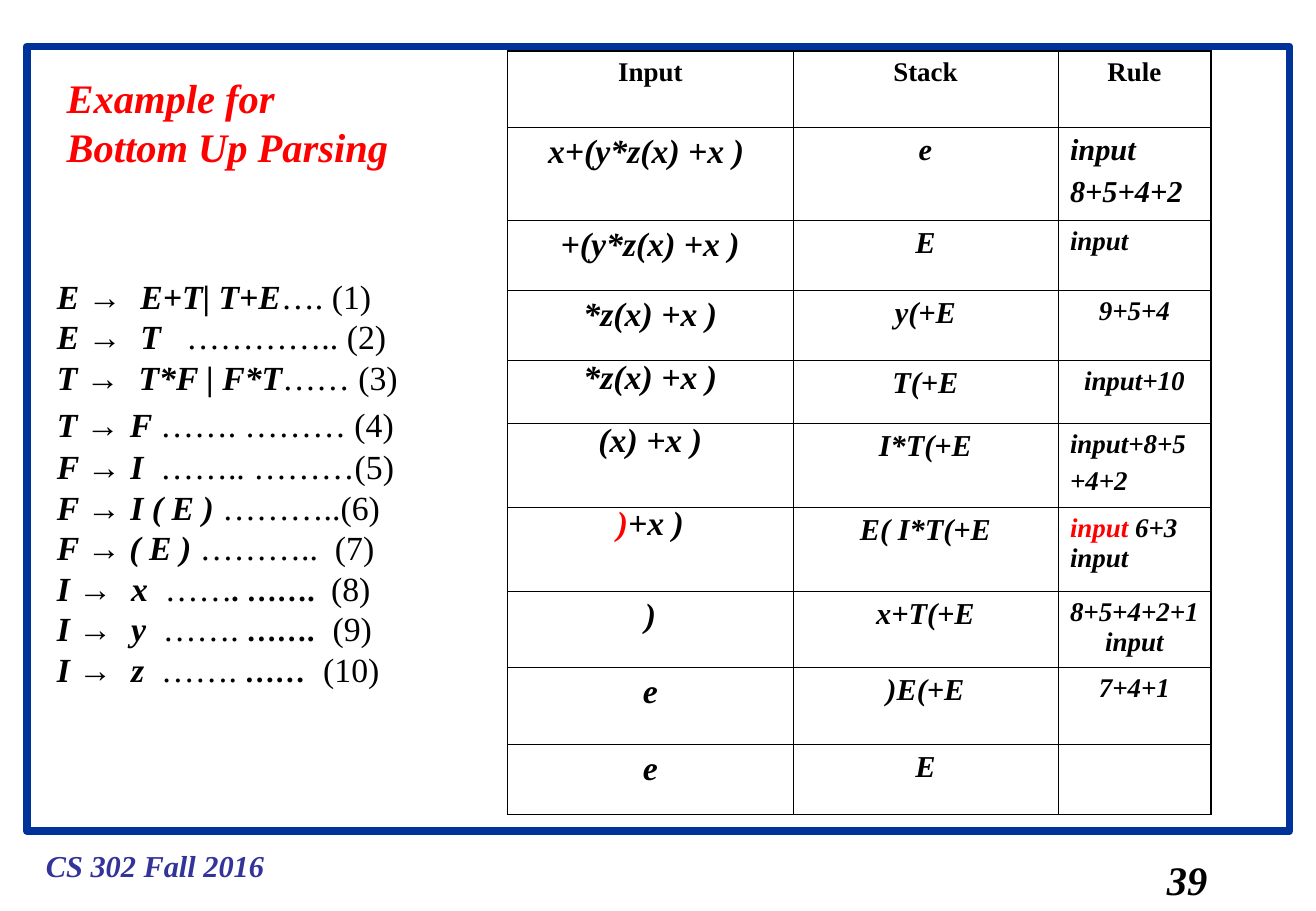
from dataclasses import dataclass

from pptx import Presentation, util as u
from pptx.dml.color import RGBColor
from pptx.enum import shapes, text
from pptx.oxml.ns import qn
from lxml import etree

LEFT, CENTER = text.PP_ALIGN.LEFT, text.PP_ALIGN.CENTER


@dataclass(frozen=True)
class Theme:
    serif: str = "Times New Roman"
    arrow: str = "Arial"
    ink: str = "000000"
    red: str = "FF0000"
    frame: str = "003399"
    footer: str = "333399"
    large: int = 24
    body: int = 20
    medium: int = 18
    small: int = 16
    outer: float = 1.08
    inner: float = 0.45
    frame_width: float = 4.5


THEME = Theme()


@dataclass(frozen=True)
class Step:
    remaining: str
    stack: str
    rule: str
    height: float
    matched: str = ""
    rule_matched: str = ""
    rule_align: text.PP_ALIGN = CENTER
    rule_size: int = THEME.small
    before: float = 5
    spacing: float = 1.0


STEPS = [
    Step("x+(y*z(x) +x ) ", "e", "input\n8+5+4+2", 1.93,
         rule_align=LEFT, rule_size=THEME.medium, before=4.5),
    Step("+(y*z(x) +x )", "E", "input", 1.47, rule_align=LEFT),
    Step("*z(x) +x )", "y(+E", "9+5+4", 1.47),
    Step("*z(x) +x )", "T(+E", "input+10", 1.32, spacing=0.75),
    Step("(x) +x )", "I*T(+E", "input+8+5\n+4+2", 1.75, rule_align=LEFT, spacing=0.75),
    Step("+x )", "E( I*T(+E", " 6+3 input", 1.75, matched=")",
         rule_matched="input", rule_align=LEFT, spacing=0.75),
    Step(")", "x+T(+E", "8+5+4+2+1 input", 1.6),
    Step("e", ")E(+E", "7+4+1", 1.6),
    Step("e", "E", "", 1.47),
]

GRAMMAR_STYLES = [
    {},
    {"font": THEME.arrow},
    {"size": THEME.large, "bold": False, "italic": False},
    {},
    {"bold": False, "italic": False},
    {"size": THEME.medium},
    {"bold": False, "italic": False},
]
GRAMMAR = [
    ("E ", "→  ", "", "E+T| T+E", "…. (1)"),
    ("E ", "→  ", "", "T   ", "………….. (2)"),
    ("T ", "→  ", "", "T*F | F*T", "…… (3)"),
    ("T ", "→", " ", "F ", "……. ……… (4)"),
    ("F ", "→ ", "", "I  ", "…….. ………(5)"),
    ("F ", "→ ", "", "I ( E ) ", "………..(6)"),
    ("F ", "→", "", " ( E ) ", "………..  (7)"),
    ("I ", "→  ", "", "x  ", "……", ". …….  ", "(8)"),
    ("I ", "→  ", "", "y  ", "……. ", "…….", "  (9)"),
    ("I ", "→  ", "", "z  ", "……. ", "……", "  (10)"),
]


def write(paragraph, words, font=THEME.serif, size=THEME.body, color=THEME.ink,
          bold=True, italic=True):
    if not words:
        return
    run = paragraph.add_run()
    run.text = words
    run.font.name = font
    run.font.size = u.Pt(size)
    run.font.bold = bold
    run.font.italic = italic
    run.font.color.rgb = RGBColor.from_string(color)


def next_paragraph(frame, index):
    return frame.add_paragraph() if index else frame.paragraphs[0]


def write_lines(frame, words, **style):
    for index, line in enumerate(words.split("\n")):
        paragraph = next_paragraph(frame, index)
        paragraph.alignment = LEFT
        write(paragraph, line, **style)


def place(box, left, top, width, height, wrap=False):
    box.left, box.top = u.Cm(left), u.Cm(top)
    box.width, box.height = u.Cm(width), u.Cm(height)
    frame = box.text_frame
    frame.word_wrap = wrap
    frame.auto_size = text.MSO_AUTO_SIZE.NONE
    frame.vertical_anchor = text.MSO_ANCHOR.TOP
    return frame


def add_text(slide, *position, wrap=False):
    return place(slide.shapes.add_textbox(0, 0, 0, 0), *position, wrap=wrap)


def add_frame(slide):
    border = slide.shapes.add_shape(shapes.MSO_SHAPE.RECTANGLE, u.Cm(0.56), u.Cm(0.97),
                                    u.Cm(26.42), u.Cm(16.41))
    border.shadow.inherit = False
    border.fill.background()
    border.line.color.rgb = RGBColor.from_string(THEME.frame)
    border.line.width = u.Pt(THEME.frame_width)


def add_grammar(slide):
    frame = add_text(slide, 0.94, 5.64, 9.42, 9.75, wrap=True)
    for index, production in enumerate(GRAMMAR):
        paragraph = next_paragraph(frame, index)
        for words, style in zip(production, GRAMMAR_STYLES):
            write(paragraph, words, **style)


def set_borders(cell, edges):
    properties = cell._tc.get_or_add_tcPr()
    for side, on_edge in edges.items():
        width = u.Pt(THEME.outer if on_edge else THEME.inner)
        line = etree.SubElement(properties, qn(f"a:ln{side}"), w=str(int(width)))
        fill = etree.SubElement(line, qn("a:solidFill"))
        etree.SubElement(fill, qn("a:srgbClr"), val=THEME.ink)
    cell.fill.background()


def fill_cell(cell, words, matched="", align=CENTER, before=4.5, spacing=1.0, **style):
    for index, line in enumerate(words.split("\n")):
        paragraph = next_paragraph(cell.text_frame, index)
        paragraph.alignment = align
        paragraph.space_before = u.Pt(before)
        paragraph.line_spacing = spacing
        write(paragraph, matched, **{**style, "color": THEME.red})
        write(paragraph, line, **style)


def add_trace(slide):
    widths = [5.97, 5.54, 3.2]
    heights = [1.6] + [step.height for step in STEPS]
    trace = slide.shapes.add_table(len(heights), len(widths), u.Cm(10.62), u.Cm(1.07),
                                   u.Cm(sum(widths)), u.Cm(sum(heights))).table
    trace.first_row = trace.horz_banding = False
    for column, width in zip(trace.columns, widths):
        column.width = u.Cm(width)
    for row, height in zip(trace.rows, heights):
        row.height = u.Cm(height)
    for r in range(len(heights)):
        for c in range(len(widths)):
            set_borders(trace.cell(r, c), {"L": c == 0, "R": c == len(widths) - 1,
                                           "T": r == 0, "B": r == len(heights) - 1})
    for c, heading in enumerate(["Input", "Stack", "Rule"]):
        fill_cell(trace.cell(0, c), heading, before=4, size=THEME.small, italic=False)
    for r, step in enumerate(STEPS, 1):
        fill_cell(trace.cell(r, 0), step.remaining, step.matched,
                  before=step.before, spacing=step.spacing)
        fill_cell(trace.cell(r, 1), step.stack, size=THEME.medium)
        fill_cell(trace.cell(r, 2), step.rule, step.rule_matched, step.rule_align,
                  before=step.rule_size / 4, size=step.rule_size)


def main():
    deck = Presentation()
    deck.slide_width, deck.slide_height = u.Cm(27.53), u.Cm(19.05)
    slide = deck.slides.add_slide(deck.slide_layouts[5])
    add_frame(slide)
    heading = place(slide.shapes.title, 1.14, 1.4, 7.44, 2.29)
    write_lines(heading, "Example for\nBottom Up Parsing", size=THEME.large, color=THEME.red)
    add_grammar(slide)
    add_trace(slide)
    course = add_text(slide, 0.71, 17.6, 5.08, 1.02)
    write_lines(course, "CS 302 Fall 2016", size=THEME.medium, color=THEME.footer)
    page_number = add_text(slide, 24.16, 17.75, 1.35, 1.27)
    write_lines(page_number, "39", size=THEME.large)
    deck.save("out.pptx")


if __name__ == "__main__":
    main()
